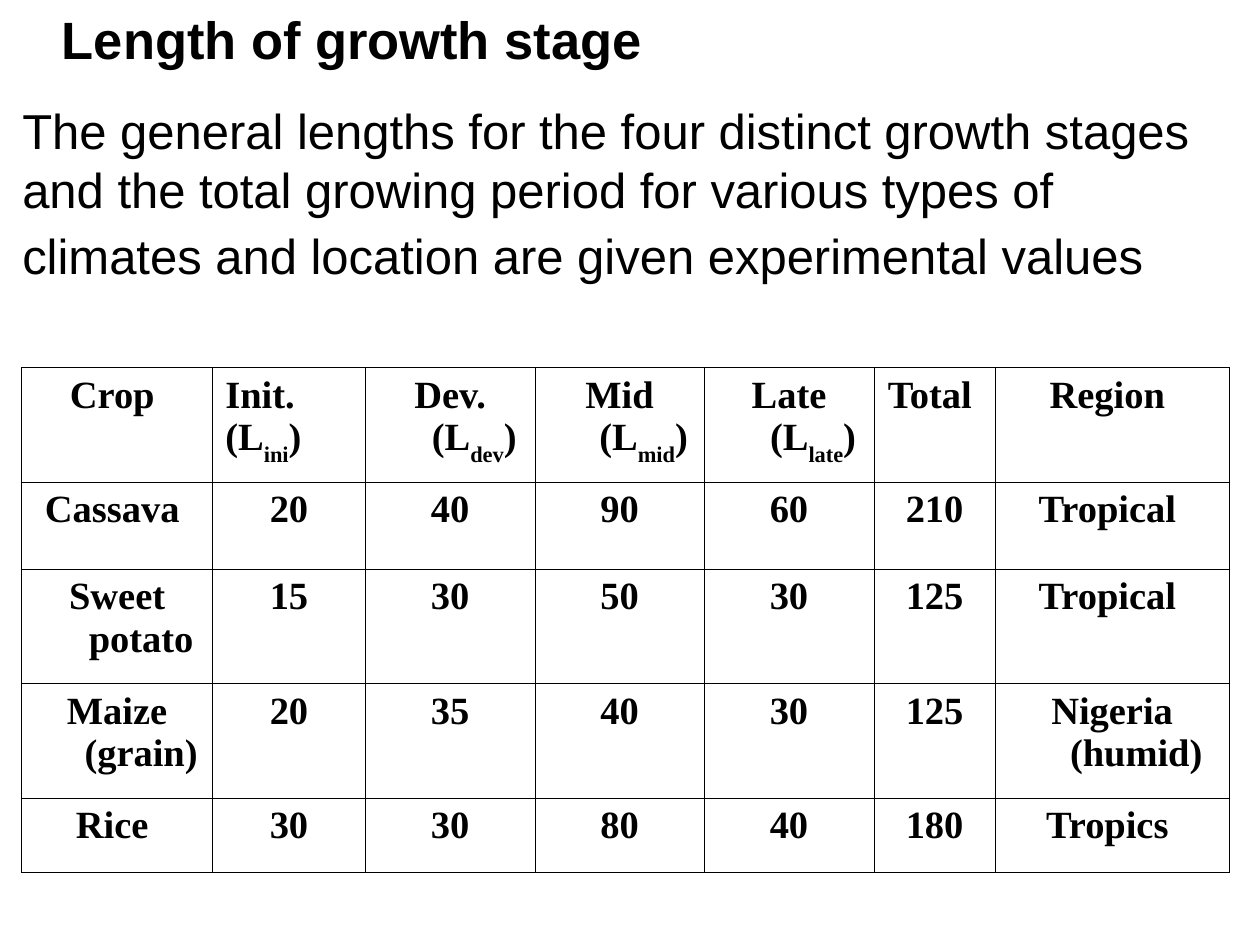
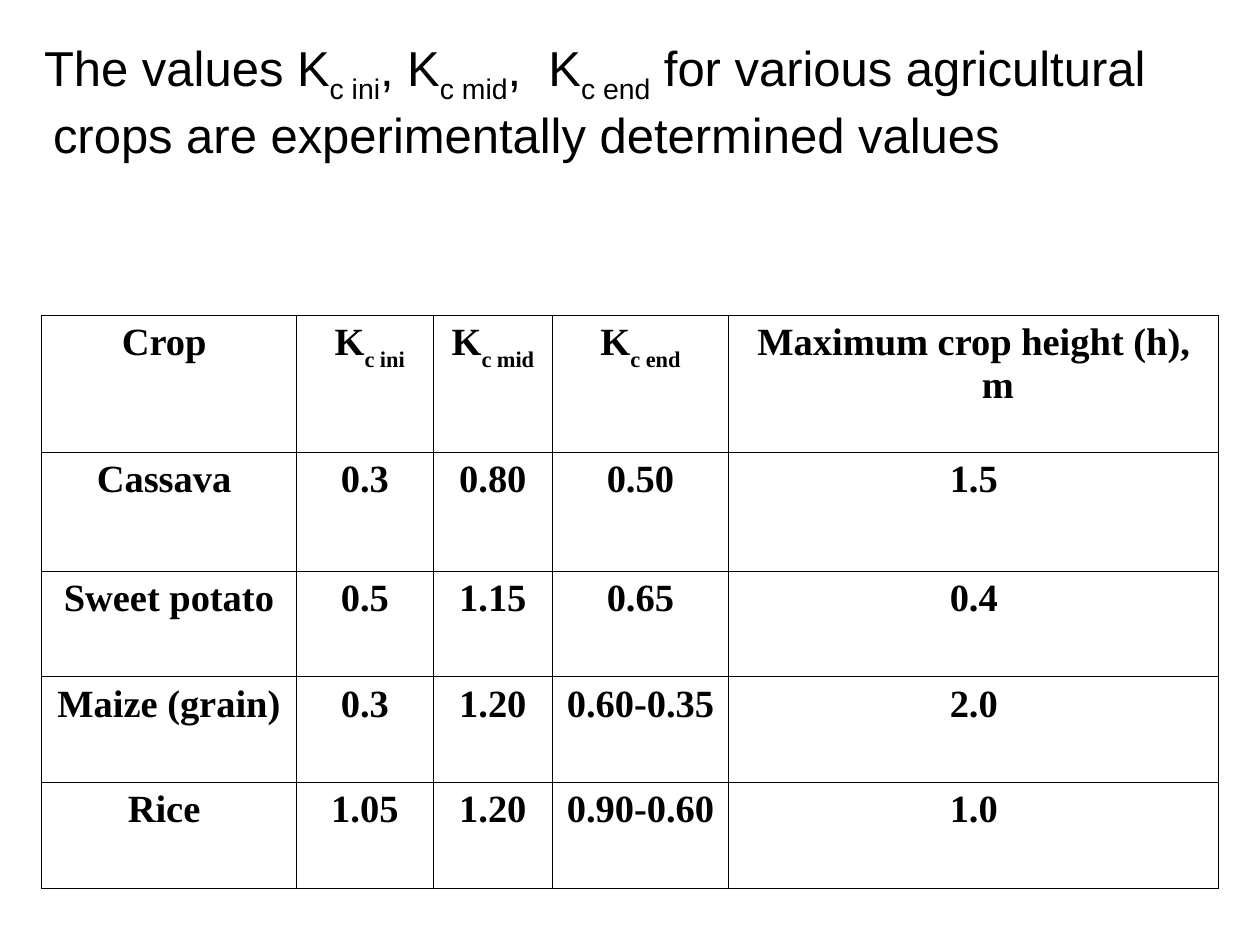
from lxml.etree import SubElement
from pptx import Presentation
from pptx.dml.color import RGBColor
from pptx.enum.text import MSO_ANCHOR, PP_ALIGN
from pptx.oxml import parse_xml
from pptx.oxml.ns import nsdecls
from pptx.util import Cm, Pt

BLACK = RGBColor(0, 0, 0)
WHITE = RGBColor(255, 255, 255)
HEADING_FONT = "Arial"
TABLE_FONT = "Times New Roman"
CELL_HANG = Cm(0.97)
BORDER_WIDTH = Pt(0.45)

GROWTH_STAGES = [
    ["Crop ", "Init.\n(L|ini|)", "Dev. (L|dev|)", "Mid (L|mid|)",
     "Late (L|late|)", "Total ", "Region "],
    ["Cassava ", "20", "40", "90", "60", "210", "Tropical "],
    ["Sweet potato", "15", "30", "50", "30", "125", "Tropical "],
    ["Maize (grain)", "20", "35", "40", "30", "125", "Nigeria (humid)"],
    ["Rice ", "30", "30", "80", "40", "180", "Tropics "],
]
CROP_COEFFICIENTS = [
    ["Crop ", " K|c ini", "K|c mid", "K|c end", "Maximum crop height (h), m"],
    ["Cassava ", "0.3", "0.80", "0.50", "1.5"],
    ["Sweet potato", "0.5", "1.15", "0.65", "0.4"],
    ["Maize (grain)", "0.3", "1.20", "0.60-0.35", "2.0"],
    ["Rice ", "1.05", "1.20", "0.90-0.60", "1.0"],
]


def write(paragraph, marked_text, font, size, bold=False, baseline=-30000,
          align=PP_ALIGN.LEFT, hang=0):
    """Parts between bars are set as subscripts."""
    paragraph.alignment = align
    properties = paragraph._p.get_or_add_pPr()
    properties.set("marL", str(int(hang)))
    properties.set("indent", str(-int(hang)))
    for position, part in enumerate(marked_text.split("|")):
        if not part:
            continue
        run = paragraph.add_run()
        run.text = part
        run.font.name = font
        run.font.size = Pt(size)
        run.font.bold = bold
        run.font.color.rgb = BLACK
        if position % 2:
            run._r.get_or_add_rPr().set("baseline", str(baseline))


def add_statement(slide, box, marked_text, size, anchor=MSO_ANCHOR.TOP, **style):
    frame = slide.shapes.add_textbox(*map(Cm, box)).text_frame
    frame.word_wrap = True
    frame.vertical_anchor = anchor
    paragraph = frame.paragraphs[0]
    write(paragraph, marked_text, HEADING_FONT, size, **style)
    return paragraph


def outline(cell):
    properties = cell._tc.get_or_add_tcPr()
    for order, side in enumerate(("lnL", "lnR", "lnT", "lnB")):
        border = parse_xml(f'<a:{side} {nsdecls("a")} w="{int(BORDER_WIDTH)}"/>')
        fill = SubElement(border, f"{{{border.nsmap['a']}}}solidFill")
        SubElement(fill, f"{{{border.nsmap['a']}}}srgbClr", val=str(BLACK))
        properties.insert(order, border)


def add_crop_table(slide, left, top, widths, heights, crops, left_aligned=()):
    table = slide.shapes.add_table(
        len(heights), len(widths), Cm(left), Cm(top),
        Cm(sum(widths)), Cm(sum(heights))).table
    table.first_row = table.horz_banding = False
    for column, width in zip(table.columns, widths):
        column.width = Cm(width)
    for row, height in zip(table.rows, heights):
        row.height = Cm(height)
    for r, crop in enumerate(crops):
        for c, entry in enumerate(crop):
            cell = table.cell(r, c)
            cell.fill.background()
            outline(cell)
            align = PP_ALIGN.LEFT if (r, c) in left_aligned else PP_ALIGN.CENTER
            for index, line in enumerate(entry.split("\n")):
                frame = cell.text_frame
                paragraph = frame.add_paragraph() if index else frame.paragraphs[0]
                write(paragraph, line, TABLE_FONT, 22, bold=True,
                      align=align, hang=CELL_HANG)


def add_blank_slide(deck):
    slide = deck.slides.add_slide(deck.slide_layouts[6])
    slide.background.fill.solid()
    slide.background.fill.fore_color.rgb = WHITE
    return slide


def build_growth_stages(deck):
    slide = add_blank_slide(deck)
    add_crop_table(slide, 0.43, 7.41,
                   [3.86, 3.07, 3.43, 3.4, 3.43, 2.44, 4.72],
                   [2.31, 1.75, 2.31, 2.31, 1.5],
                   GROWTH_STAGES, left_aligned={(0, 1)})
    add_statement(slide, (0.43, 0.2, 13.34, 1.14), "Length of growth stage", 30,
                  anchor=MSO_ANCHOR.MIDDLE, bold=True, align=PP_ALIGN.CENTER)
    summary = add_statement(
        slide, (0.2, 1.9, 24.56, 4.24),
        "The general lengths for the four distinct growth stages and the total "
        "growing period for various types of climates and location are given "
        "experimental values", 28)
    write(summary, " ", HEADING_FONT, 32)


def build_crop_coefficients(deck):
    slide = add_blank_slide(deck)
    add_crop_table(slide, 0.84, 6.35,
                   [5.13, 2.77, 2.39, 3.56, 9.88],
                   [2.77, 2.39] + [2.13] * 3, CROP_COEFFICIENTS)
    add_statement(
        slide, (0.64, 0.64, 24.13, 3.18),
        "The values K|c ini|, K|c mid|,  K|c end| for various agricultural "
        "crops are experimentally determined values", 28,
        baseline=-25000, hang=Cm(0.18))


def main():
    deck = Presentation()
    deck.slide_width, deck.slide_height = Cm(25.4), Cm(19.05)
    build_growth_stages(deck)
    build_crop_coefficients(deck)
    deck.save("out.pptx")


if __name__ == "__main__":
    main()
